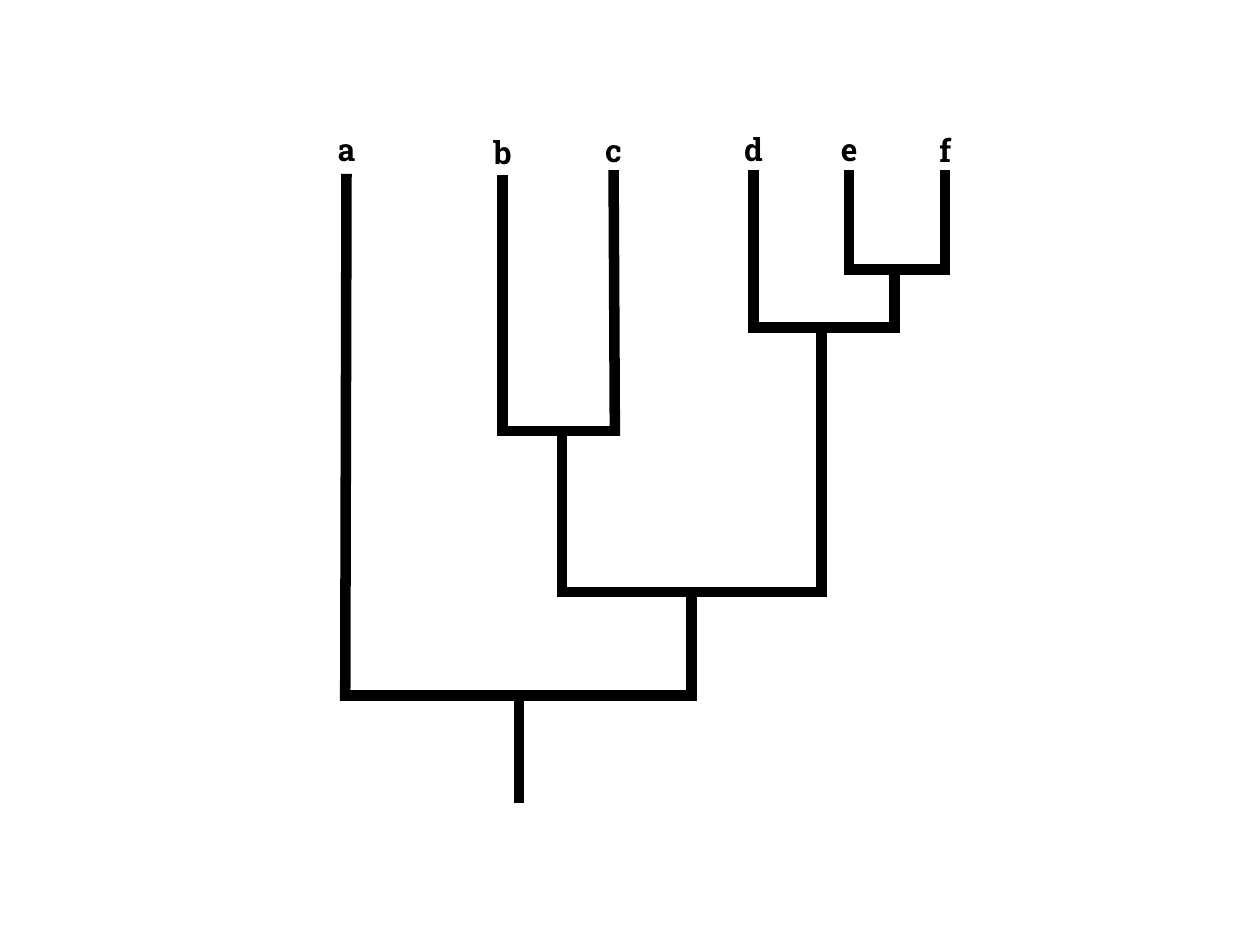
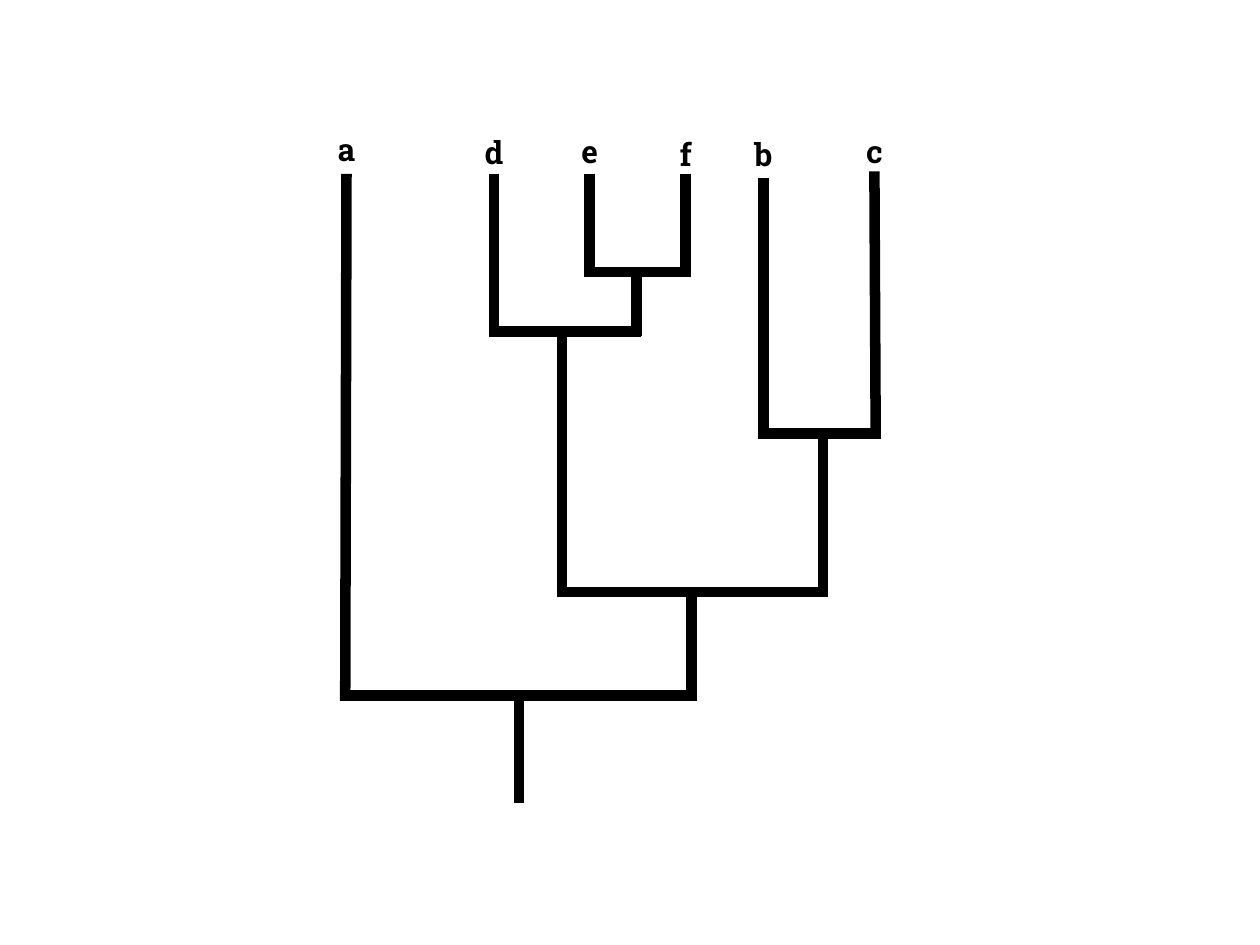
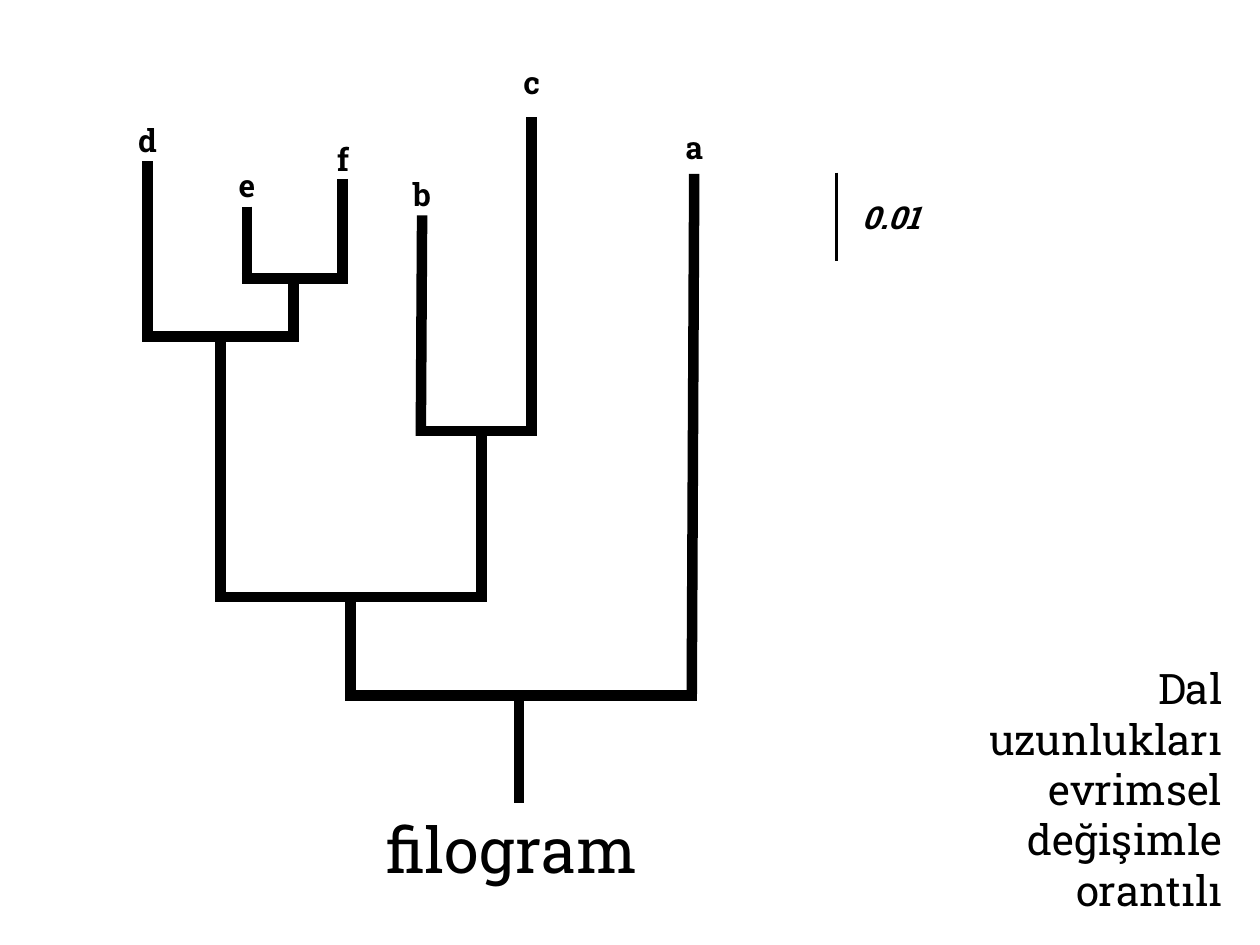
from dataclasses import dataclass

from lxml import etree
from pptx import Presentation
from pptx.dml.color import RGBColor
from pptx.enum.shapes import MSO_CONNECTOR
from pptx.enum.text import MSO_ANCHOR, MSO_AUTO_SIZE, PP_ALIGN
from pptx.oxml.ns import qn
from pptx.util import Inches, Pt

STRAIGHT = MSO_CONNECTOR.STRAIGHT
TOP = MSO_ANCHOR.TOP
GROW = MSO_AUTO_SIZE.SHAPE_TO_FIT_TEXT
LEFT, CENTER, RIGHT = PP_ALIGN.LEFT, PP_ALIGN.CENTER, PP_ALIGN.RIGHT


@dataclass(frozen=True)
class Theme:
    ink: RGBColor = RGBColor(0, 0, 0)
    font: str = "Roboto Slab"
    label: int = 18
    note: int = 24
    title: int = 36
    branch: float = 6
    scale: float = 1.5


THEME = Theme()

# The grid has one-inch columns and rows
COLUMNS, ROWS = 10, 7.5
OVERHANG = 0.04  # half a branch's thickness, closes the corners
LABEL_WIDTH, LABEL_HEIGHT = 0.36, 0.4
ROOT_END = 6.37


@dataclass
class Tip:
    """A named leaf; its branch may lean sideways on the way down."""
    name: str
    x: float
    top: float
    label_top: float
    lean: float = 0


@dataclass
class Clade:
    """Two branches joined by a bar at y, with a stem below it at x."""
    left: object
    right: object
    x: float
    y: float


# Drawing helpers
def add_line(s, x1, y1, x2, y2, width=THEME.branch):
    line = s.shapes.add_connector(
        STRAIGHT, Inches(x1), Inches(y1), Inches(x2), Inches(y2))
    line.line.color.rgb = THEME.ink
    line.line.width = Pt(width)
    etree.SubElement(line._element.spPr, qn("a:effectLst"))


def set_text(shape, text, size, align=LEFT, wrap=False, bold=False, italic=False):
    tf = shape.text_frame
    tf.word_wrap = wrap
    tf.auto_size = GROW
    tf.vertical_anchor = TOP
    p = tf.paragraphs[0]
    p.text = text
    p.alignment = align
    p.font.name = THEME.font
    p.font.size = Pt(size)
    p.font.bold = bold
    p.font.italic = italic
    p.font.color.rgb = THEME.ink


def add_text(s, x, y, width, height, text, size, **style):
    box = s.shapes.add_textbox(
        Inches(x), Inches(y), Inches(width), Inches(height))
    set_text(box, text, size, **style)


def add_title(s, x, y, width, height, text):
    title = s.shapes.title
    title.left, title.top = Inches(x), Inches(y)
    title.width, title.height = Inches(width), Inches(height)
    set_text(title, text, THEME.title, align=CENTER)


def draw_branch(s, node, bottom):
    """Draw a node and the branch below it; return the branch's foot."""
    if isinstance(node, Tip):
        add_text(s, node.x - LABEL_WIDTH / 2, node.label_top, LABEL_WIDTH,
                 LABEL_HEIGHT, node.name, THEME.label, align=CENTER, bold=True)
        foot, top = node.x + node.lean, node.top
    else:
        left, right = [draw_branch(s, child, node.y + OVERHANG)
                       for child in (node.left, node.right)]
        add_line(s, left - OVERHANG, node.y, right + OVERHANG, node.y)
        foot, top = node.x, node.y
    add_line(s, node.x, top, foot, bottom)
    return foot


# Slides
def build_first_tree(s):
    bc = Clade(Tip("b", 3.99, 1.39, 1.01),
               Tip("c", 4.87, 1.35, 0.99, lean=0.01), 4.46, 3.42)
    ef = Clade(Tip("e", 6.74, 1.35, 0.98), Tip("f", 7.5, 1.35, 0.99), 7.1, 2.14)
    d_ef = Clade(Tip("d", 5.98, 1.35, 0.98), ef, 6.52, 2.6)
    inner = Clade(bc, d_ef, 5.49, 4.7)
    root = Clade(Tip("a", 2.75, 1.38, 0.98, lean=-0.01), inner, 4.12, 5.52)
    draw_branch(s, root, ROOT_END)


def build_rotated_tree(s):
    ef = Clade(Tip("e", 4.68, 1.38, 1), Tip("f", 5.44, 1.38, 1.02), 5.05, 2.16)
    d_ef = Clade(Tip("d", 3.92, 1.38, 1.01), ef, 4.46, 2.63)
    bc = Clade(Tip("b", 6.06, 1.41, 1.02),
               Tip("c", 6.94, 1.36, 1, lean=0.01), 6.53, 3.44)
    inner = Clade(d_ef, bc, 5.49, 4.7)
    root = Clade(Tip("a", 2.75, 1.38, 0.98, lean=-0.01), inner, 4.12, 5.52)
    draw_branch(s, root, ROOT_END)


def build_phylogram(s):
    ef = Clade(Tip("e", 1.96, 1.64, 1.27), Tip("f", 2.72, 1.42, 1.06), 2.33, 2.21)
    d_ef = Clade(Tip("d", 1.17, 1.28, 0.91), ef, 1.75, 2.67)
    bc = Clade(Tip("b", 3.35, 1.71, 1.34, lean=-0.01),
               Tip("c", 4.22, 0.93, 0.45), 3.82, 3.42)
    inner = Clade(d_ef, bc, 2.78, 4.74)
    root = Clade(inner, Tip("a", 5.51, 1.38, 0.97, lean=-0.02), 4.12, 5.52)
    draw_branch(s, root, ROOT_END)

    # Scale bar
    add_line(s, 6.64, 1.37, 6.64, 2.07, THEME.scale)
    add_text(s, 6.74, 1.52, 0.8, LABEL_HEIGHT, "0.01", THEME.label,
             bold=True, italic=True)

    # Title and explanation
    add_title(s, 2.96, 6.38, 2.21, 0.71, "filogram")
    add_text(s, 7.31, 5.21, 2.49, 2.12,
             "Dal uzunlukları evrimsel değişimle orantılı",
             THEME.note, align=RIGHT, wrap=True)


def main():
    prs = Presentation()
    prs.slide_width, prs.slide_height = Inches(COLUMNS), Inches(ROWS)
    title_only, blank = prs.slide_layouts[5], prs.slide_layouts[6]
    for layout, build in ((blank, build_first_tree),
                          (blank, build_rotated_tree),
                          (title_only, build_phylogram)):
        build(prs.slides.add_slide(layout))
    prs.save("out.pptx")


if __name__ == "__main__":
    main()
